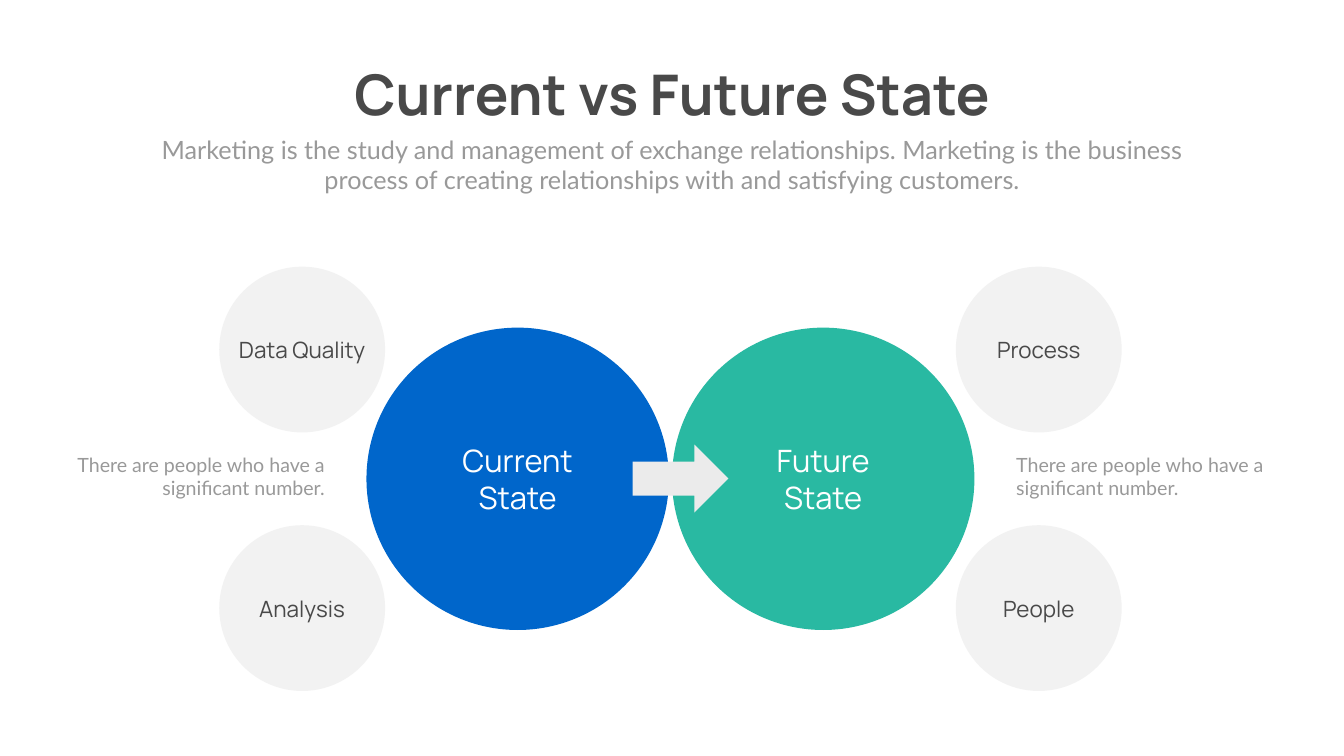
import pptx
import pptx.util
import pptx.dml.color
import pptx.enum.shapes
import pptx.enum.text

SHAPE = pptx.enum.shapes.MSO_SHAPE
ALIGN = pptx.enum.text.PP_ALIGN
INK, GREY, WHITE = "494949", "999999", "FFFFFF"
HEADING, BODY = "Manrope", "Lato"
NOTE = "There are people who have a significant number."


def rgb(value):
    return pptx.dml.color.RGBColor.from_string(value)


def part(box, left, top, width, height):
    """Return the box inside box whose place is given in percent of it."""
    x, y, w, h = box
    return (int(x + w * left / 100), int(y + h * top / 100),
            int(w * width / 100), int(h * height / 100))


def add_solid(slide, kind, box, fill):
    solid = slide.shapes.add_shape(kind, *box)
    solid.shadow.inherit = False
    solid.fill.solid()
    solid.fill.fore_color.rgb = rgb(fill)
    solid.line.fill.background()


def add_text(slide, box, text, size, font, color, align=ALIGN.CENTER,
             bold=False, wrap=True):
    frame = slide.shapes.add_textbox(*box).text_frame
    frame.word_wrap = wrap
    frame.auto_size = pptx.enum.text.MSO_AUTO_SIZE.SHAPE_TO_FIT_TEXT
    frame.vertical_anchor = pptx.enum.text.MSO_ANCHOR.MIDDLE
    frame.text = text
    paragraph = frame.paragraphs[0]
    paragraph.alignment = align
    for run in paragraph.runs:
        run.font.size = pptx.util.Pt(size)
        run.font.name = font
        run.font.bold = bold
        run.font.color.rgb = rgb(color)


def add_header(slide, box, title, summary):
    add_text(slide, part(box, 17.53, 0, 64.99, 51.79), title, 80, HEADING, INK,
             bold=True, wrap=False)
    add_text(slide, part(box, 0, 53.21, 100, 46.79), summary, 36, BODY, GREY)


def add_state(slide, box, name, fill, topics, note, mirrored):
    """Place a state circle at the inner edge, its two topics and a note outside."""
    def place(inner, top, width, height):
        left = 100 - inner - width if mirrored else inner
        return part(box, left, top, width, height)

    state = place(0, 14.37, 48.54, 71.26)
    add_solid(slide, SHAPE.OVAL, state, fill)
    add_text(slide, part(state, 26, 36.83, 48, 26.33), name, 44, HEADING, WHITE)

    for topic, top in zip(topics, (0, 60.93)):
        circle = place(45.55, top, 26.62, 39.07)
        add_solid(slide, SHAPE.OVAL, circle, "F2F2F2")
        add_text(slide, part(circle, -4, 40.28, 108, 19.45), topic, 32, HEADING, INK)

    add_text(slide, place(54.45, 43.23, 45.55, 12.35), note, 28, BODY, GREY,
             align=ALIGN.RIGHT if mirrored else ALIGN.LEFT)


def main():
    deck = pptx.Presentation()
    deck.slide_width = pptx.util.Inches(26.66)
    deck.slide_height = pptx.util.Inches(15)
    slide = deck.slides.add_slide(deck.slide_layouts[6])
    page = (0, 0, deck.slide_width, deck.slide_height)

    add_header(slide, part(page, 10.95, 7.47, 78.1, 18.67),
               "Current vs Future State",
               "Marketing is the study and management of exchange relationships. "
               "Marketing is the business process of creating relationships with "
               "and satisfying customers.")
    add_state(slide, part(page, 3.41, 35.27, 46.36, 56.13), "Current State",
              "0066CB", ("Data Quality", "Analysis"), NOTE, mirrored=True)
    add_state(slide, part(page, 50, 35.27, 46.36, 56.13), "Future State",
              "29B9A2", ("Process", "People"), NOTE, mirrored=False)
    add_solid(slide, SHAPE.RIGHT_ARROW, part(page, 47.07, 58.8, 7.13, 9), "EBEBEB")

    deck.save("out.pptx")


if __name__ == "__main__":
    main()
